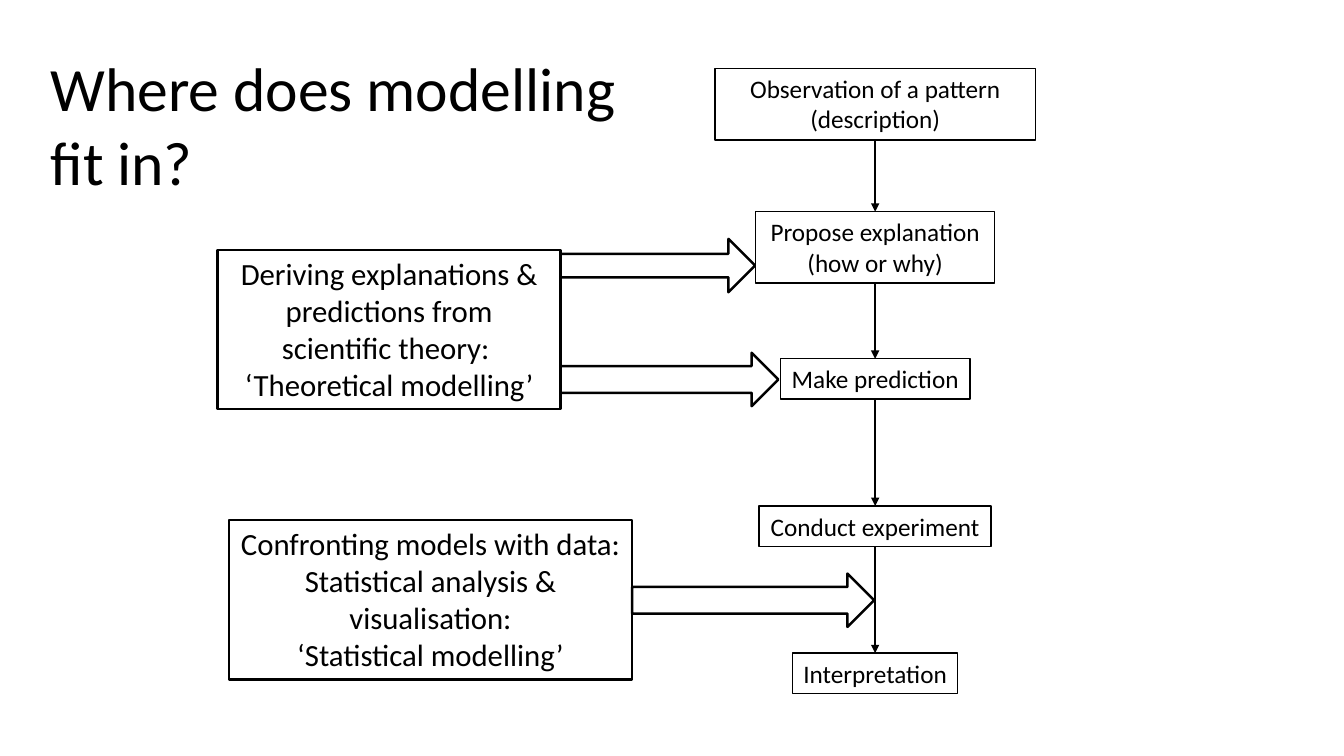
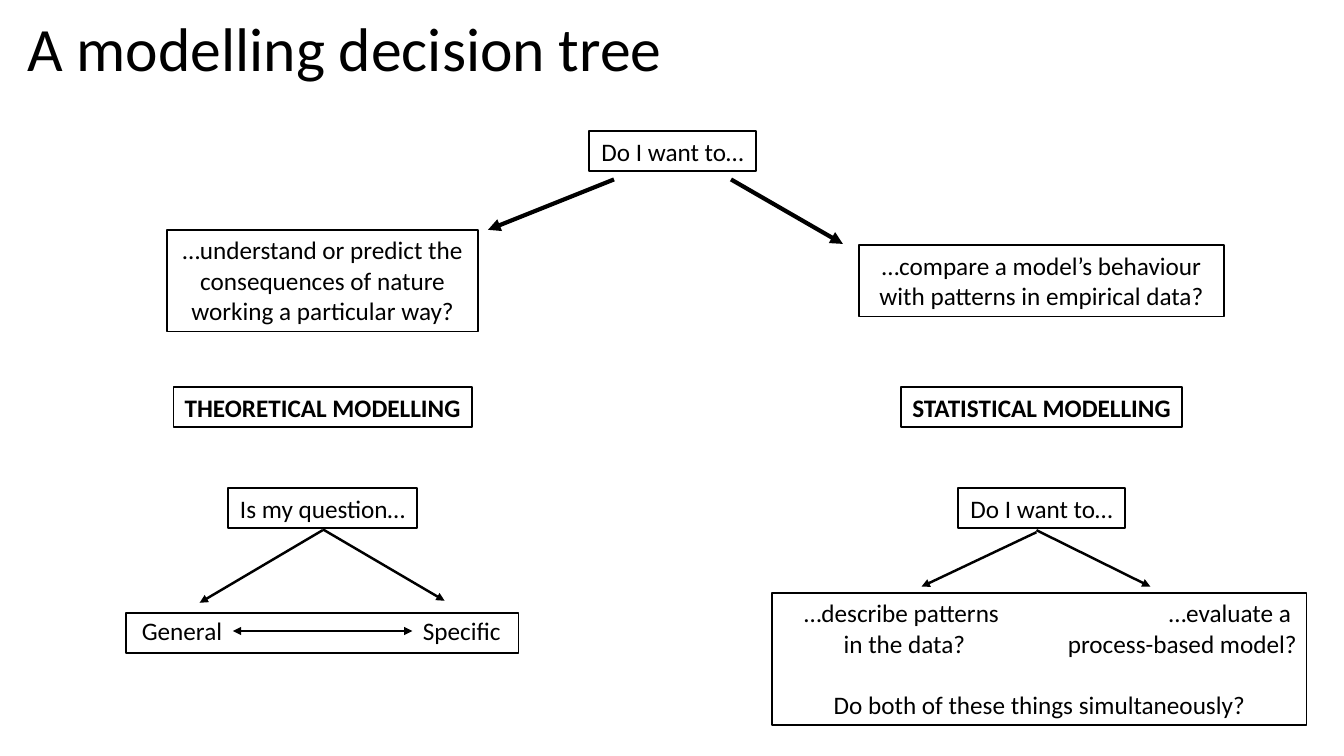
import pptx
import pptx.util
import pptx.dml.color
import pptx.enum.shapes
import pptx.enum.text
import pptx.oxml
import pptx.oxml.ns
from itertools import pairwise

Inches, Pt = pptx.util.Inches, pptx.util.Pt
ALIGN = pptx.enum.text.PP_ALIGN
ANCHOR = pptx.enum.text.MSO_ANCHOR
SHAPES = pptx.enum.shapes.MSO_SHAPE

INK = "000000"
FONT = "Calibri"
TITLE_SIZE, THEORY_SIZE, BODY_SIZE = 44, 22, 18
ONE_LINE, TWO_LINES, THREE_LINES = 0.4, 0.71, 1.01

# Slide 1: the scientific method, from top to bottom (text, top, width, height)
METHOD_CENTRE = 8.68
METHOD_STEPS = [
    ("Observation of a pattern (description)", 0.68, 3.18, TWO_LINES),
    ("Propose explanation (how or why)", 2.1, 2.37, TWO_LINES),
    ("Make prediction", 3.56, 1.88, ONE_LINE),
    ("Conduct experiment", 5.02, 2.3, ONE_LINE),
    ("Interpretation", 6.48, 1.64, ONE_LINE),
]
MODELLING_BOXES = [
    (["Deriving explanations & predictions from scientific theory: ",
      "‘Theoretical modelling’"], (2.16, 2.48, 3.4, 1.58)),
    (["Confronting models with data:",
      "Statistical analysis & visualisation:",
      "‘Statistical modelling’"], (2.27, 5.16, 4, 1.58)),
]
BLOCK_ARROW_HEIGHT = 0.53
BLOCK_ARROWS = [  # left, right, top, shaft share of the height
    (6.27, 8.67, 5.69, 0.5),
    (5.56, 7.49, 2.37, 0.44),
    (5.56, 7.72, 3.5, 0.5),
]

# Slide 2: the decision tree (text, centre, top, width, height, bold)
LEFT_CENTRE, RIGHT_CENTRE = 3.2, 10.33
TREE_BOXES = [
    ("Do I want to…", 6.67, 1.3, 1.65, ONE_LINE, False),
    ("…understand or predict the consequences of nature working a particular way?",
     LEFT_CENTRE, 2.28, 3.08, THREE_LINES, False),
    ("THEORETICAL MODELLING", LEFT_CENTRE, 3.84, 2.96, ONE_LINE, True),
    ("Is my question…", LEFT_CENTRE, 4.84, 1.88, ONE_LINE, False),
    ("…compare a model’s behaviour with patterns in empirical data?",
     RIGHT_CENTRE, 2.43, 3.62, TWO_LINES, False),
    ("STATISTICAL MODELLING", RIGHT_CENTRE, 3.84, 2.79, ONE_LINE, True),
    ("Do I want to…", RIGHT_CENTRE, 4.84, 1.65, ONE_LINE, False),
]
TREE_LABELS = [
    (["General"], (1.3, 6.06, 1.01, ONE_LINE)),
    (["Specific"], (4.09, 6.06, 0.98, ONE_LINE)),
    (["…describe patterns ", "in the data?"], (7.66, 5.88, 2.62, TWO_LINES)),
]
DATA_BOX = (7.66, 5.88, 5.3, 1.31)
QUESTION_FRAME = (1.25, 6.08, 3.89, ONE_LINE)
TREE_ARROWS = [  # start, end, line width
    ((6.09, 1.78), (4.84, 2.28), 3),
    ((7.25, 1.78), (8.36, 2.42), 3),
    ((3.2, 5.26), (1.98, 5.98), 1.75),
    ((3.2, 5.25), (4.41, 5.96), 1.75),
    ((10.28, 5.28), (9.14, 5.82), 1.75),
    ((10.28, 5.26), (11.41, 5.82), 1.75),
]
GENERAL_TO_SPECIFIC = ((2.31, 6.26), (4.09, 6.26), 1.75)


def colour(value):
    return pptx.dml.color.RGBColor.from_string(value)


def set_all(target, values):
    for name, value in values.items():
        setattr(target, name, value)


def set_line(shape, width):
    shape.line.color.rgb = colour(INK)
    shape.line.width = Pt(width)


def format_paragraph(paragraph, size, align, bold=False):
    paragraph.alignment = align
    set_all(paragraph.font, {"name": FONT, "size": Pt(size), "bold": bold})
    paragraph.font.color.rgb = colour(INK)


def add_titled_slide(presentation, text, box, spacing):
    slide = presentation.slides.add_slide(presentation.slide_layouts[5])
    title = slide.shapes.title
    set_all(title, dict(zip(("left", "top", "width", "height"), map(Inches, box))))
    title.text_frame.text = text
    set_all(title.text_frame, {
        "word_wrap": True, "vertical_anchor": ANCHOR.MIDDLE,
        "auto_size": pptx.enum.text.MSO_AUTO_SIZE.NONE})
    paragraph = title.text_frame.paragraphs[0]
    format_paragraph(paragraph, TITLE_SIZE, ALIGN.LEFT)
    paragraph.line_spacing = spacing
    return slide


def add_text(slide, lines, box, size=BODY_SIZE, line_width=None, bold=False):
    """Add centred text, framed when a line width is given; return its paragraphs."""
    shape = slide.shapes.add_textbox(*map(Inches, box))
    if line_width:
        set_line(shape, line_width)
    frame = shape.text_frame
    frame.text = "\n".join(lines)
    set_all(frame, {"word_wrap": box[3] > ONE_LINE, "vertical_anchor": ANCHOR.TOP})
    for paragraph in frame.paragraphs:
        format_paragraph(paragraph, size, ALIGN.CENTER, bold)
    return frame.paragraphs


def add_outline(slide, kind, box, line_width):
    shape = slide.shapes.add_shape(kind, *map(Inches, box))
    shape.shadow.inherit = False
    shape.fill.background()
    set_line(shape, line_width)
    return shape


def add_arrow(slide, start, end, width, ends=("tailEnd",)):
    arrow = slide.shapes.add_connector(
        pptx.enum.shapes.MSO_CONNECTOR.STRAIGHT, *map(Inches, start + end))
    set_line(arrow, width)
    line = arrow.line._get_or_add_ln()
    for tag in ends:
        head = pptx.oxml.ns.qn(f"a:{tag}")
        line.append(line.makeelement(head, {"type": "triangle"}))
    properties = arrow._element.spPr
    properties.append(properties.makeelement(pptx.oxml.ns.qn("a:effectLst"), {}))


def build_method_slide(presentation):
    slide = add_titled_slide(
        presentation, "Where does modelling fit in?", (0.4, 0.44, 5.87, 1.58), 1.0)
    for text, top, width, height in METHOD_STEPS:
        add_text(slide, [text], (METHOD_CENTRE - width / 2, top, width, height),
                 line_width=1)
    for (_, top, _, height), (_, next_top, _, _) in pairwise(METHOD_STEPS):
        add_arrow(slide, (METHOD_CENTRE, top + height), (METHOD_CENTRE, next_top), 1.75)
    for lines, box in MODELLING_BOXES:
        add_text(slide, lines, box, THEORY_SIZE, 1.75)
    for left, right, top, shaft in BLOCK_ARROWS:
        arrow = add_outline(slide, SHAPES.RIGHT_ARROW,
                            (left, top, right - left, BLOCK_ARROW_HEIGHT), 1.75)
        arrow.adjustments[0] = shaft


def build_tree_slide(presentation):
    slide = add_titled_slide(
        presentation, "A modelling decision tree", (0.17, -0.21, 11.5, 1.45), 0.9)
    first, second, both = add_text(
        slide, ["…evaluate a ", "process-based model?",
                "Do both of these things simultaneously?"], DATA_BOX, line_width=1.25)
    first.alignment = second.alignment = ALIGN.RIGHT
    both.space_before = Pt(22)
    for text, centre, top, width, height, bold in TREE_BOXES:
        add_text(slide, [text], (centre - width / 2, top, width, height),
                 line_width=1.25, bold=bold)
    for lines, box in TREE_LABELS:
        add_text(slide, lines, box)
    add_outline(slide, SHAPES.RECTANGLE, QUESTION_FRAME, 1)
    for start, end, width in TREE_ARROWS:
        add_arrow(slide, start, end, width)
    add_arrow(slide, *GENERAL_TO_SPECIFIC, ends=("headEnd", "tailEnd"))


def main():
    presentation = pptx.Presentation()
    presentation.slide_width = Inches(13.33)
    presentation.slide_height = Inches(7.5)
    build_method_slide(presentation)
    build_tree_slide(presentation)
    presentation.save("out.pptx")


if __name__ == "__main__":
    main()
